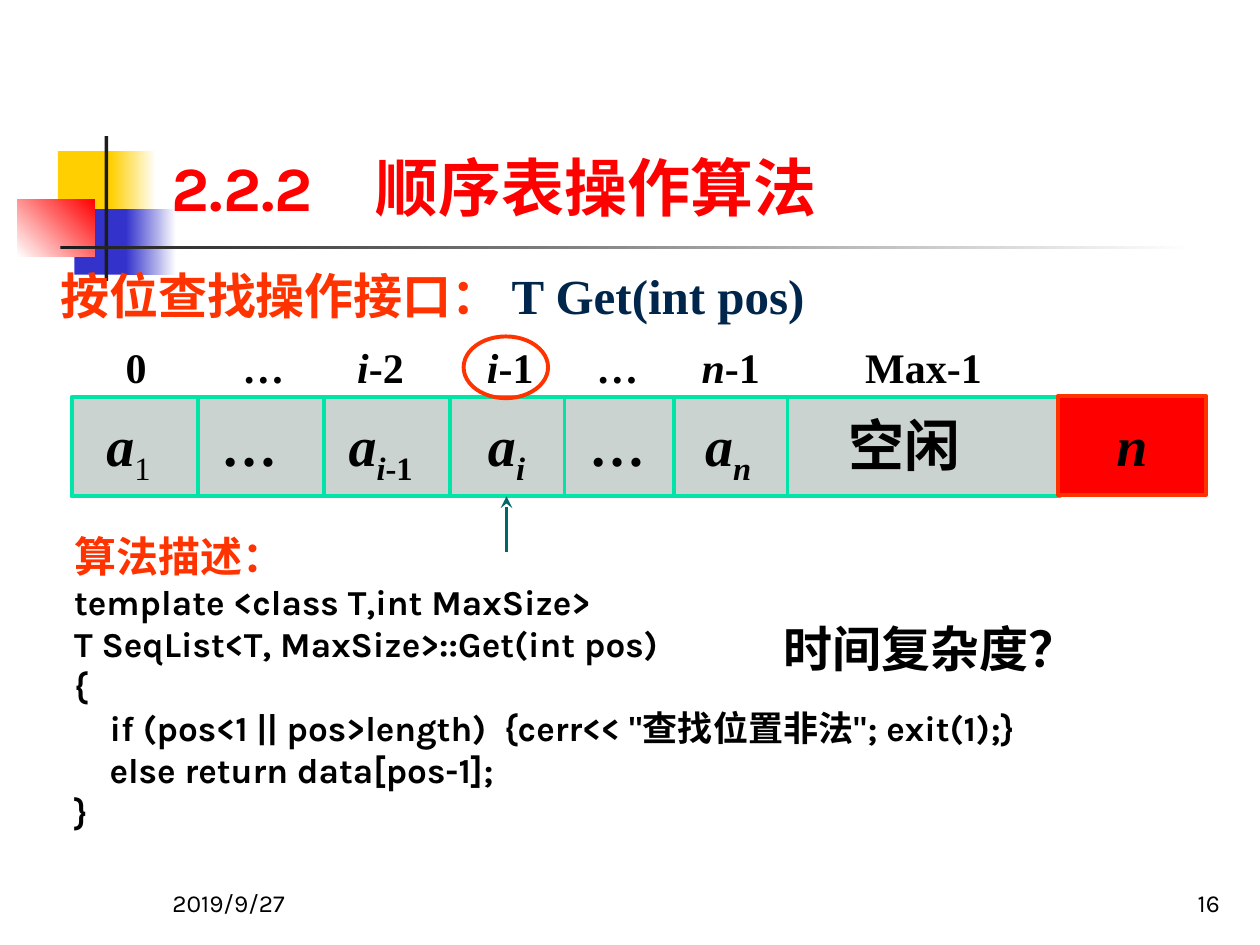
from lxml import etree
from pptx import Presentation
from pptx.dml.color import RGBColor
from pptx.enum import shapes, text
from pptx.oxml.ns import qn
from pptx.util import Inches, Pt

SERIF, SANS, CJK = "Times New Roman", "Karla", "Noto Sans CJK SC"
BLACK, RED, ORANGE, GREEN = "000000", "FF0000", "FF3300", "00E4A8"
rgb = RGBColor.from_string
Kind = shapes.MSO_SHAPE

presentation = Presentation()
presentation.slide_width, presentation.slide_height = Inches(10), Inches(7.5)
slide = presentation.slides.add_slide(presentation.slide_layouts[5])


def add_box(kind, left, top, width, height, colors=(), angle=0, line=None):
    """Add a shape with no fill, one fill colour or a two-colour gradient."""
    shape = slide.shapes.add_shape(
        kind, Inches(left), Inches(top), Inches(width), Inches(height))
    shape.shadow.inherit = False
    if len(colors) == 2:
        shape.fill.gradient()
        shape.fill.gradient_angle = angle
        for stop, color in zip(shape.fill.gradient_stops, colors):
            stop.color.rgb = rgb(color)
    elif colors:
        shape.fill.solid()
        shape.fill.fore_color.rgb = rgb(colors[0])
    else:
        shape.fill.background()
    if line:
        shape.line.color.rgb = rgb(line)
        shape.line.width = Pt(2.25)
    else:
        shape.line.fill.background()
    return shape


def write(shape, paragraphs, align="LEFT", anchor="TOP", wrap=True):
    """Fill a shape; a paragraph is (size, runs), a run (text, font, colour, style).

    Style letters: b bold, i italic, s subscript.
    """
    frame = shape.text_frame
    frame.word_wrap = wrap
    frame.vertical_anchor = getattr(text.MSO_ANCHOR, anchor)
    for number, (size, runs) in enumerate(paragraphs):
        paragraph = frame.add_paragraph() if number else frame.paragraphs[0]
        paragraph.alignment = getattr(text.PP_ALIGN, align)
        paragraph.font.size = Pt(size)
        for words, font, color, style in runs:
            run = paragraph.add_run()
            run.text = words
            run.font.size = Pt(size)
            run.font.name = font
            run.font.color.rgb = rgb(color)
            run.font.bold = "b" in style
            run.font.italic = "i" in style
            properties = run._r.get_or_add_rPr()
            etree.SubElement(properties, qn("a:ea")).set("typeface", CJK)
            if "s" in style:
                properties.set("baseline", "-25000")


# Corner ornament and rule
for left, top, width, height, colors, angle in [
    (0.46, 1.2, 0.48, 0.52, ["FFCF01"], 0),
    (0.88, 1.2, 0.36, 0.52, ["FFCF01", "FFFFFF"], 0),
    (0.59, 1.66, 0.46, 0.52, ["3333CC"], 0),
    (1, 1.66, 0.4, 0.52, ["3333CC", "FFFFFF"], 0),
    (0.14, 1.58, 0.61, 0.46, ["FFFFFF", RED], 45),
    (0.83, 1.08, 0.03, 1.15, ["1C1C1C"], 0),
    (0.48, 1.95, 9, 0.03, ["1C1C1C", "FFFFFF"], 0),
]:
    add_box(Kind.RECTANGLE, left, top, width, height, colors, angle)

# Storage array: bar, dividers, pointer arrow
BAR_TOP, BAR_BOTTOM = 3.15, 3.94
add_box(Kind.RECTANGLE, 0.57, BAR_TOP, 7.84, BAR_BOTTOM - BAR_TOP, ["CBD3D1"], line=GREEN)
lines = [(x, BAR_TOP, BAR_BOTTOM, GREEN) for x in (1.57, 2.57, 3.57, 4.48, 5.35, 6.25)]
lines.append((4.02, 4.38, BAR_BOTTOM, "006666"))
for x, start, end, color in lines:
    connector = slide.shapes.add_connector(
        shapes.MSO_CONNECTOR.STRAIGHT, Inches(x), Inches(start), Inches(x), Inches(end))
    connector.line.color.rgb = rgb(color)
    connector.line.width = Pt(2.25)
    etree.SubElement(connector._element.spPr, qn("a:effectLst"))
etree.SubElement(connector.line._get_or_add_ln(), qn("a:tailEnd")).set("type", "stealth")

# Index labels above the bar and elements inside it: (centre, runs)
labels = [
    (1.08, [("0", "b")]),
    (2.09, [("…", "b")]),
    (3.02, [("i", "bi"), ("-2", "b")]),
    (4.05, [("i", "bi"), ("-1", "b")]),
    (4.9, [("…", "b")]),
    (5.8, [("n", "bi"), ("-1", "b")]),
    (7.33, [("Max-1", "b")]),
]
elements = [
    (1.02, [("a", "bi"), ("1", "s")]),
    (1.98, [("…", "b")]),
    (3.02, [("a", "bi"), ("i", "bis"), ("-1", "bs")]),
    (4.02, [("a", "bi"), ("i", "bis")]),
    (4.9, [("…", "b")]),
    (5.78, [("a", "bi"), ("n", "bis")]),
    (7.18, [("空闲", "b")]),
]
for cells, top, height, size in [(labels, 2.66, 0.5, 24), (elements, 3.21, 0.63, 32)]:
    for center, runs in cells:
        box = slide.shapes.add_textbox(
            Inches(center - 0.6), Inches(top), Inches(1.2), Inches(height))
        write(box, [(size, [(words, SERIF, BLACK, style) for words, style in runs])], "CENTER")

length_box = add_box(Kind.RECTANGLE, 8.4, 3.14, 1.17, 0.79, [RED], line=ORANGE)
length_box.text_frame.margin_top = Inches(0.12)
write(length_box, [(32, [("n", SERIF, BLACK, "bi")])], "CENTER")
add_box(Kind.OVAL, 3.68, 2.67, 0.67, 0.49, line=ORANGE)

# Text blocks
code = [
    "template <class T,int MaxSize>",
    "T SeqList<T, MaxSize>::Get(int pos)",
    "{",
    '    if (pos<1 || pos>length)  {cerr<< "查找位置非法"; exit(1);}',
    "    else return data[pos-1];",
    "}",
]
algorithm = [(24, [("算法描述：", "Arial", ORANGE, "b")])]
algorithm += [(20, [(row, SANS, BLACK, "b")]) for row in code]
interface = [(28, [("按位查找操作接口： ", "Arial", ORANGE, "b"),
                   ("T Get(int pos)", SERIF, "00264C", "b")])]
question = [(28, [("时间复杂度", "Arial", BLACK, "b"), ("？", CJK, BLACK, "b")])]
for left, top, width, height, paragraphs, align, anchor in [
    (0.38, 2.06, 8.22, 0.57, interface, "LEFT", "TOP"),
    (0.49, 4.16, 8.73, 2.5, algorithm, "LEFT", "TOP"),
    (6.12, 4.86, 3.02, 0.57, question, "LEFT", "TOP"),
    (1.27, 6.83, 2.08, 0.5, [(14, [("2019/9/27", SANS, BLACK, "")])], "LEFT", "BOTTOM"),
    (7.7, 6.83, 2.08, 0.5, [(14, [("16", SANS, BLACK, "")])], "RIGHT", "BOTTOM"),
]:
    box = slide.shapes.add_textbox(Inches(left), Inches(top), Inches(width), Inches(height))
    write(box, paragraphs, align, anchor)

# Title, brought in front of the ornament
title = slide.shapes.title
title.left, title.top, title.width, title.height = (
    Inches(1.26), Inches(0.23), Inches(8.52), Inches(1.6))
write(title, [(36, [("2.2.2　顺序表操作算法", SANS, RED, "b")])], anchor="BOTTOM")
slide.shapes._spTree.append(title._element)

presentation.save("out.pptx")
